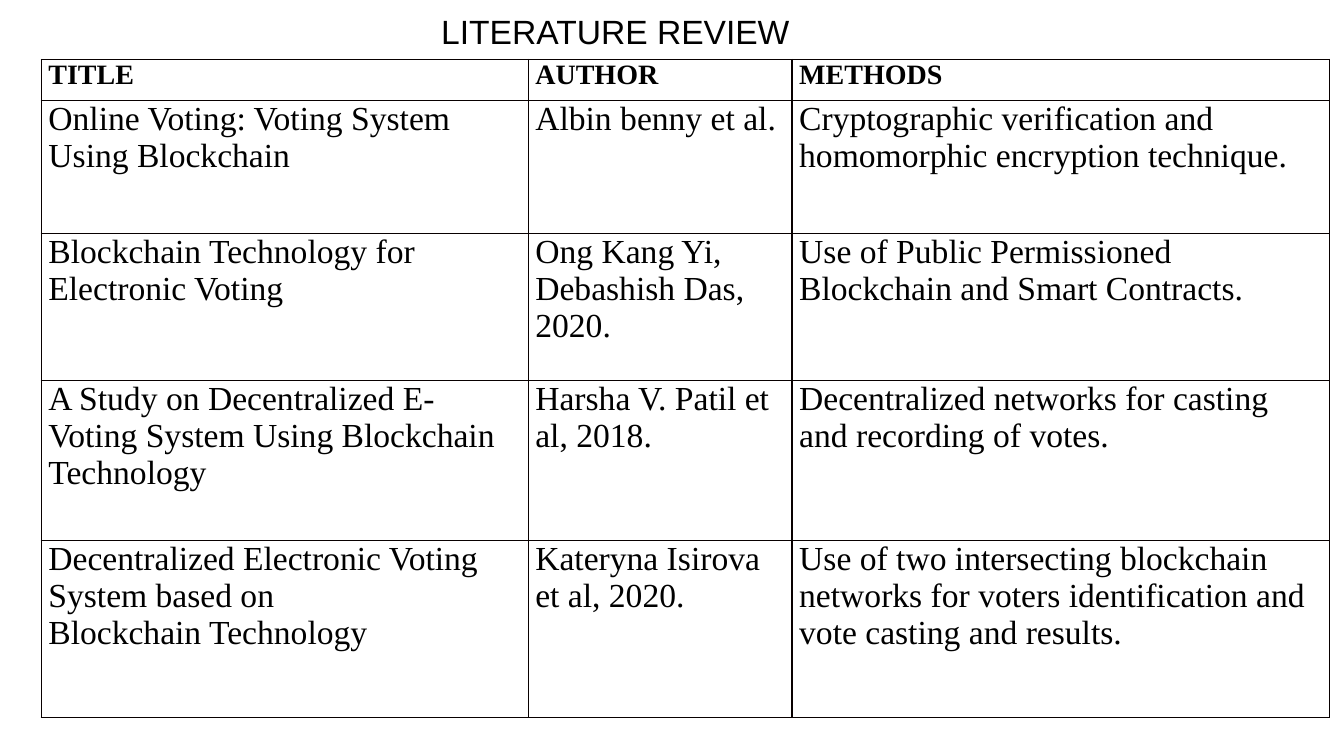
from dataclasses import dataclass

import lxml.etree
import pptx
import pptx.dml.color
import pptx.enum.text
import pptx.oxml.ns
import pptx.slide
import pptx.table
import pptx.text.text
import pptx.util
from pptx.util import Cm

TITLE_ONLY_LAYOUT = 5
TEXT_COLOR = "000000"
BORDER_COLOR = "080000"
COLUMN_WIDTHS = (12.27, 6.65, 13.54)


@dataclass(frozen=True)
class ReviewRow:
    title: str
    author: str
    methods: str
    height: float
    size: int = 24
    bold: bool = False


ROWS = (
    ReviewRow("TITLE", "AUTHOR", "METHODS", 1.04, size=20, bold=True),
    ReviewRow(
        "Online Voting: Voting System Using Blockchain",
        "Albin benny et al.",
        "Cryptographic verification and homomorphic encryption technique.",
        3.35,
    ),
    ReviewRow(
        "Blockchain Technology for Electronic Voting",
        "Ong Kang Yi, Debashish Das, 2020.",
        "Use of Public Permissioned Blockchain and Smart Contracts.",
        3.7,
    ),
    ReviewRow(
        "A Study on Decentralized E-Voting System Using Blockchain Technology",
        "Harsha V. Patil et al, 2018.",
        "Decentralized networks for casting and recording of votes.",
        4.03,
    ),
    ReviewRow(
        "Decentralized Electronic Voting System based on\nBlockchain Technology",
        "Kateryna Isirova et al, 2020.",
        "Use of two intersecting blockchain networks for voters identification "
        "and vote casting and results.",
        4.47,
    ),
)


def format_runs(
    text_frame: pptx.text.text.TextFrame, font_name: str, size: int, bold: bool = False
) -> None:
    for paragraph in text_frame.paragraphs:
        for run in paragraph.runs:
            run.font.name = font_name
            run.font.size = pptx.util.Pt(size)
            run.font.bold = bold
            run.font.color.rgb = pptx.dml.color.RGBColor.from_string(TEXT_COLOR)


def add_borders(cell: pptx.table._Cell, color: str, width: float) -> None:
    qn = pptx.oxml.ns.qn
    properties = cell._tc.get_or_add_tcPr()
    for side in ("lnL", "lnR", "lnT", "lnB"):
        line = lxml.etree.SubElement(
            properties, qn(f"a:{side}"), w=str(pptx.util.Pt(width))
        )
        fill = lxml.etree.SubElement(line, qn("a:solidFill"))
        lxml.etree.SubElement(fill, qn("a:srgbClr"), val=color)


def fill_cell(cell: pptx.table._Cell, text: str, row: ReviewRow) -> None:
    cell.margin_left = cell.margin_right = Cm(0.18)
    cell.margin_top = cell.margin_bottom = Cm(0)
    cell.text_frame.text = text
    format_runs(cell.text_frame, "Times New Roman", row.size, row.bold)
    add_borders(cell, BORDER_COLOR, 1)
    cell.fill.background()


def add_title(slide: pptx.slide.Slide) -> None:
    title = slide.shapes.title
    title.left, title.top = Cm(10.57), Cm(0.05)
    title.width, title.height = Cm(9.88), Cm(1.37)
    text_frame = title.text_frame
    text_frame.text = "LITERATURE REVIEW"
    text_frame.word_wrap = True
    text_frame.auto_size = pptx.enum.text.MSO_AUTO_SIZE.SHAPE_TO_FIT_TEXT
    text_frame.vertical_anchor = pptx.enum.text.MSO_ANCHOR.TOP
    paragraph = text_frame.paragraphs[0]
    paragraph.alignment = pptx.enum.text.PP_ALIGN.CENTER
    paragraph.line_spacing = 1.1
    paragraph.space_before = pptx.util.Pt(0)
    format_runs(text_frame, "Arial", 24)


def add_review_table(slide: pptx.slide.Slide) -> None:
    table = slide.shapes.add_table(
        len(ROWS),
        len(COLUMN_WIDTHS),
        Cm(1.04),
        Cm(1.5),
        Cm(sum(COLUMN_WIDTHS)),
        Cm(sum(row.height for row in ROWS)),
    ).table
    table.first_row = table.horz_banding = False
    for column, width in zip(table.columns, COLUMN_WIDTHS):
        column.width = Cm(width)
    for table_row, row in zip(table.rows, ROWS):
        table_row.height = Cm(row.height)
        for cell, text in zip(table_row.cells, (row.title, row.author, row.methods)):
            fill_cell(cell, text, row)


def main() -> None:
    presentation = pptx.Presentation()
    presentation.slide_width, presentation.slide_height = Cm(33.87), Cm(19.05)
    slide = presentation.slides.add_slide(presentation.slide_layouts[TITLE_ONLY_LAYOUT])
    add_title(slide)
    add_review_table(slide)
    presentation.save("out.pptx")


if __name__ == "__main__":
    main()
